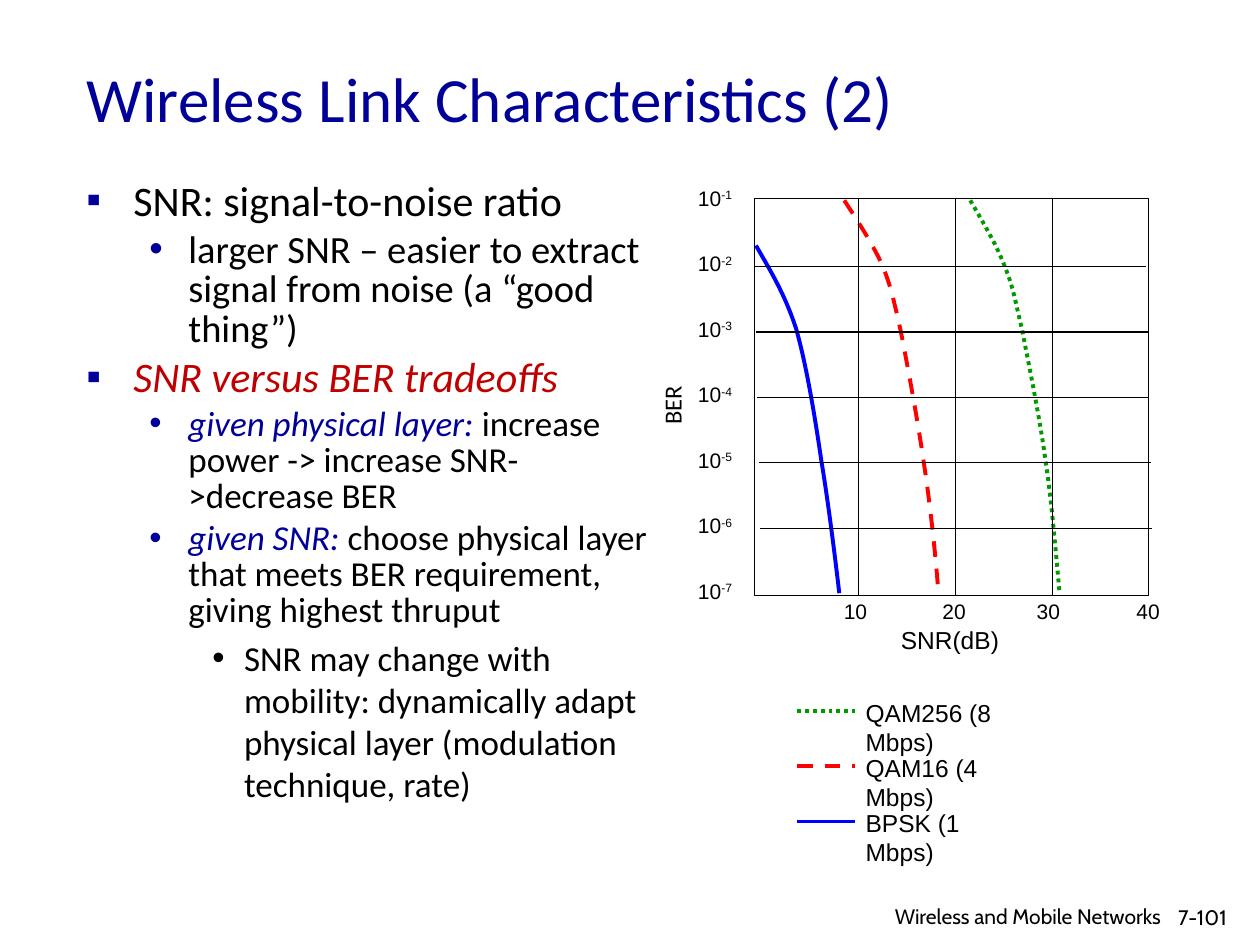
import pptx
import pptx.dml.color
import pptx.enum.dml
import pptx.enum.shapes
import pptx.enum.text
import pptx.oxml
import pptx.oxml.ns
import pptx.util
from lxml import etree

Cm, Pt = pptx.util.Cm, pptx.util.Pt
DASH = pptx.enum.dml.MSO_LINE
ALIGN = pptx.enum.text.PP_ALIGN
ANCHOR = pptx.enum.text.MSO_ANCHOR
NAVY, BLACK, RED = "000099", "000000", "C00000"
qn = pptx.oxml.ns.qn


def colour(value):
    return pptx.dml.color.RGBColor.from_string(value)


class SlideWriter:
    """Holds the text style and the current slide, and adds its elements."""

    style = {"name": "Arial", "size": Pt(12), "color": BLACK}

    def __init__(self, slide):
        self.slide = slide
        self.shapes = slide.shapes

    def place(self, shape, at):
        for name, length in zip(("left", "top", "width", "height"), at):
            setattr(shape, name, Cm(length))

    def add_span(self, para, text, raised=False, **formats):
        span = para.add_run()
        span.text = text
        for name, value in {**self.style, **formats}.items():
            if name == "color":
                span.font.color.rgb = colour(value)
            else:
                setattr(span.font, name, value)
        if raised:
            span._r.get_or_add_rPr().set("baseline", "30000")

    def title(self, text, at, **formats):
        box = self.shapes.title
        self.place(box, at)
        box.text_frame.vertical_anchor = ANCHOR.MIDDLE
        para = box.text_frame.paragraphs[0]
        para.alignment = ALIGN.LEFT
        self.add_span(para, text, **formats)

    def label(self, text, at, raised="", wrap=False, align=ALIGN.LEFT,
              rotation=0, right_inset=0.25, **formats):
        box = self.shapes.add_textbox(*map(Cm, at))
        box.rotation = rotation
        box.text_frame.word_wrap = wrap
        box.text_frame.margin_right = Cm(right_inset)
        para = box.text_frame.paragraphs[0]
        para.alignment = align
        self.add_span(para, text, **formats)
        if raised:
            self.add_span(para, raised, raised=True, **formats)

    def bullets(self, items, at, levels):
        box = self.shapes.add_textbox(*map(Cm, at))
        frame = box.text_frame
        frame.word_wrap = True
        for index, (level, size, spans) in enumerate(items):
            para = frame.add_paragraph() if index else frame.paragraphs[0]
            mark, mark_colour, margin, hanging, spacing = levels[level]
            para.level = level
            para.line_spacing = spacing
            para.space_before = Pt(size * 0.2 if index else 0)
            self.add_bullet(para, mark, mark_colour, margin, hanging)
            for text, formats in spans:
                self.add_span(para, text, name="Calibri", size=Pt(size), **formats)

    def add_bullet(self, para, mark, mark_colour, margin, hanging):
        properties = para._p.get_or_add_pPr()
        properties.set("marL", str(Cm(margin)))
        properties.set("indent", str(-Cm(hanging)))
        tint = etree.SubElement(properties, qn("a:buClr"))
        etree.SubElement(tint, qn("a:srgbClr")).set("val", mark_colour)
        etree.SubElement(properties, qn("a:buFont")).set("typeface", "Arial")
        etree.SubElement(properties, qn("a:buChar")).set("char", mark)

    def stroke(self, shape, line_colour, width, dash=None):
        shape.line.color.rgb = colour(line_colour)
        shape.line.width = Pt(width)
        if dash:
            shape.line.dash_style = dash

    def line(self, start, end, line_colour=BLACK, width=0.75, dash=None):
        straight = pptx.enum.shapes.MSO_CONNECTOR.STRAIGHT
        link = self.shapes.add_connector(straight, *map(Cm, (*start, *end)))
        etree.SubElement(link._element.spPr, qn("a:effectLst"))
        self.stroke(link, line_colour, width, dash)

    def outline(self, shape, *stroke):
        shape.shadow.inherit = False
        shape.fill.background()
        self.stroke(shape, *stroke)

    def frame(self, at):
        rectangle = pptx.enum.shapes.MSO_SHAPE.RECTANGLE
        self.outline(self.shapes.add_shape(rectangle, *map(Cm, at)), BLACK, 0.75)

    def curve(self, start, segments, line_colour, dash):
        builder = self.shapes.build_freeform(*map(Cm, start))
        ends = [tuple(map(Cm, segment[-1])) for segment in segments]
        builder.add_line_segments(ends, close=False)
        shape = builder.convert_to_shape()
        self.bend(shape, segments)
        self.outline(shape, line_colour, 2.25, dash)

    def bend(self, shape, segments):
        straights = list(shape._element.iter(qn("a:lnTo")))
        for straight, segment in zip(straights, segments):
            bezier = etree.Element(qn("a:cubicBezTo"))
            for x, y in segment:
                point = etree.SubElement(bezier, qn("a:pt"))
                point.set("x", str(Cm(x) - shape.left))
                point.set("y", str(Cm(y) - shape.top))
            straight.getparent().replace(straight, bezier)


LEVELS = [("▪", NAVY, 0.95, 0.95, 0.85),
          ("•", NAVY, 2.06, 0.79, 0.85),
          ("•", BLACK, 3.18, 0.64, 1.0)]

KEY = {"color": NAVY, "italic": True}
POINTS = [
    (0, 24, [("SNR: signal-to-noise ratio", {})]),
    (1, 22, [("larger SNR – easier to extract signal from noise (a “good thing”)", {})]),
    (0, 24, [("SNR versus BER tradeoffs", {"color": RED, "italic": True})]),
    (1, 20, [("given physical layer:", KEY),
             (" increase power -> increase SNR->decrease BER", {})]),
    (1, 20, [("given SNR:", KEY),
             (" choose physical layer that meets BER requirement, giving highest thruput", {})]),
    (2, 20, [("SNR may change with mobility: dynamically adapt physical layer "
              "(modulation technique, rate)", {})]),
]

QAM256 = ("009900", DASH.ROUND_DOT)
QAM16 = ("FF0000", DASH.DASH)
BPSK = ("0000FF", None)

CURVES = [
    (BPSK, (15.24, 4.95),
     [((15.52, 5.44), (15.82, 5.92), (16.05, 6.63)),
      ((16.26, 7.37), (16.43, 8.41), (16.56, 9.3)),
      ((16.71, 10.19), (16.87, 11.53), (16.92, 11.96))]),
    (QAM16, (17.02, 4.04),
     [((17.3, 4.47), (17.58, 4.9), (17.78, 5.33)),
      ((17.96, 5.77), (18.01, 6.02), (18.16, 6.68)),
      ((18.29, 7.34), (18.49, 8.41), (18.62, 9.3)),
      ((18.75, 10.16), (18.85, 11.07), (18.92, 11.96))]),
    (QAM256, (19.56, 4.04),
     [((19.81, 4.47), (20.07, 4.9), (20.24, 5.33)),
      ((20.42, 5.77), (20.45, 5.99), (20.6, 6.63)),
      ((20.73, 7.29), (20.96, 8.41), (21.08, 9.3)),
      ((21.21, 10.16), (21.31, 11.43), (21.36, 11.94))]),
]

LEGEND = [("QAM256 (8 Mbps)", QAM256, 4.52), ("QAM16 (4 Mbps)", QAM16, 4.27),
          ("BPSK (1 Mbps)", BPSK, 3.91)]


def main():
    deck = pptx.Presentation()
    deck.slide_width, deck.slide_height = Cm(25.4), Cm(19.05)
    page = SlideWriter(deck.slides.add_slide(deck.slide_layouts[5]))
    page.title("Wireless Link Characteristics (2)", (1.49, 0.38, 21.59, 3.18),
               name="Calibri", size=Pt(36), color=NAVY)
    page.bullets(POINTS, (1.49, 3.54, 11.89, 14.43), LEVELS)

    for pen, start, segments in CURVES:
        page.curve(start, segments, *pen)
    page.frame((15.21, 4, 7.95, 8))
    for row in range(5):
        x, y = 15.21 + 0.03 * row, 5.37 + 1.32 * row
        page.line((x, y), (x + 7.9, y))
    for column in range(3):
        x = 17.3 + 1.96 * column
        page.line((x, 4.02), (x, 12.02))
    for text, x in (("10", 16.76), ("20", 18.75), ("30", 20.65), ("40", 22.66)):
        page.label(text, (x, 11.94, 1, 0.76))
    for power in range(1, 8):
        page.label("10", (13.82, 3.61 + 1.32 * (power - 1), 1.22, 0.76), raised=f"-{power}")
    page.label("SNR(dB)", (17.91, 12.47, 2.49, 0.84), size=Pt(14))
    page.label("BER", (12.88, 7.7, 1.35, 0.86), rotation=270, name="Calibri", size=Pt(14))

    for row, (text, pen, width) in enumerate(LEGEND):
        y = 14.34 + 1.11 * row
        page.line((16.07, y), (17.23, y), pen[0], 2.25, pen[1])
        page.label(text, (17.2, y - 0.4, width, 0.84), wrap=True, right_inset=1.4, size=Pt(14))

    page.label("7-101", (23.5, 18.11, 1.9, 0.76), wrap=True, name="Cabin")
    page.label("Wireless and Mobile Networks", (16.26, 18.08, 7.4, 0.71), wrap=True,
               align=ALIGN.RIGHT, name="Cabin")
    deck.save("out.pptx")


if __name__ == "__main__":
    main()
